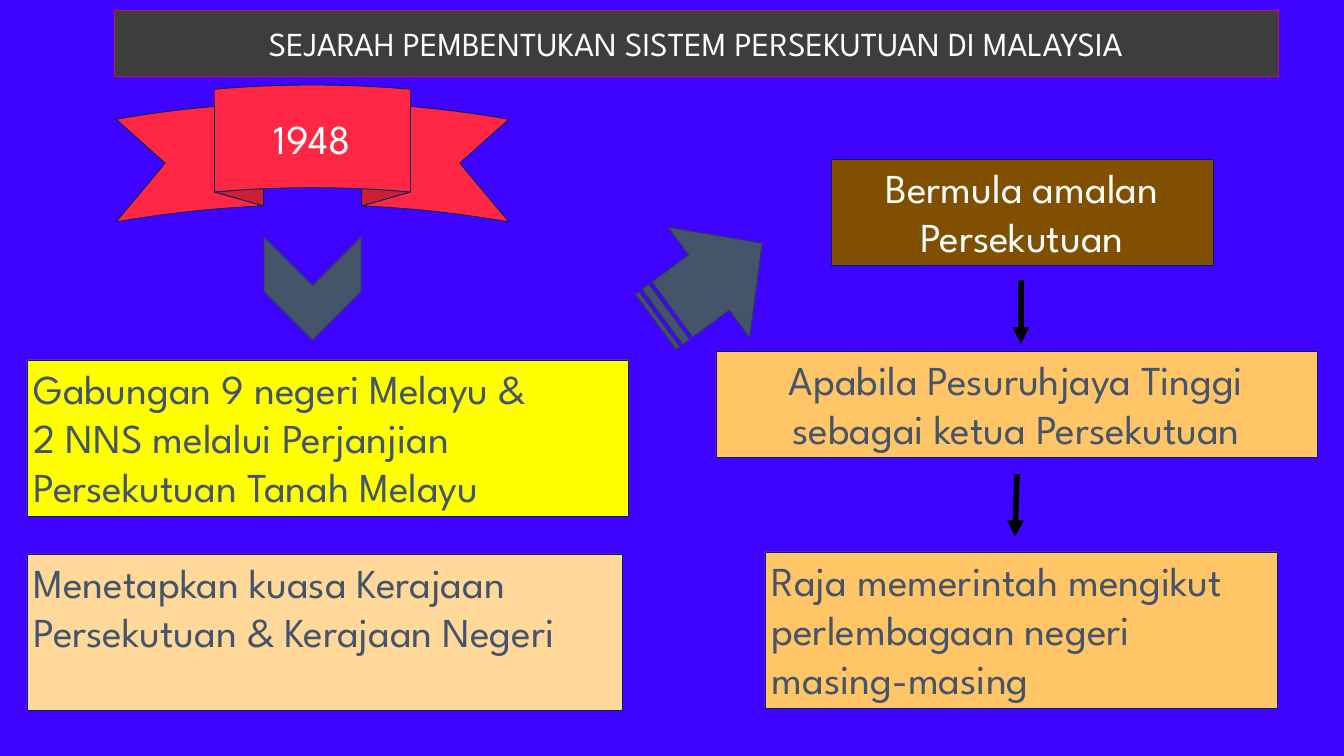
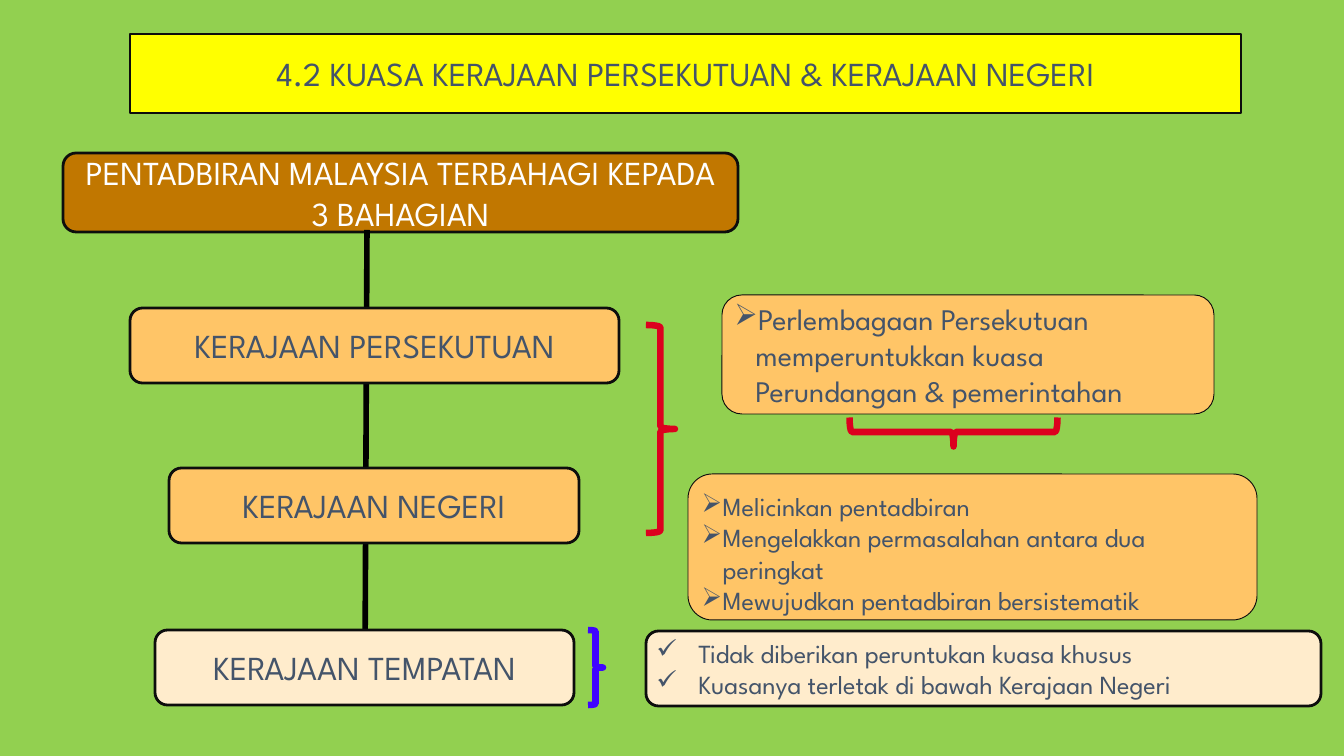
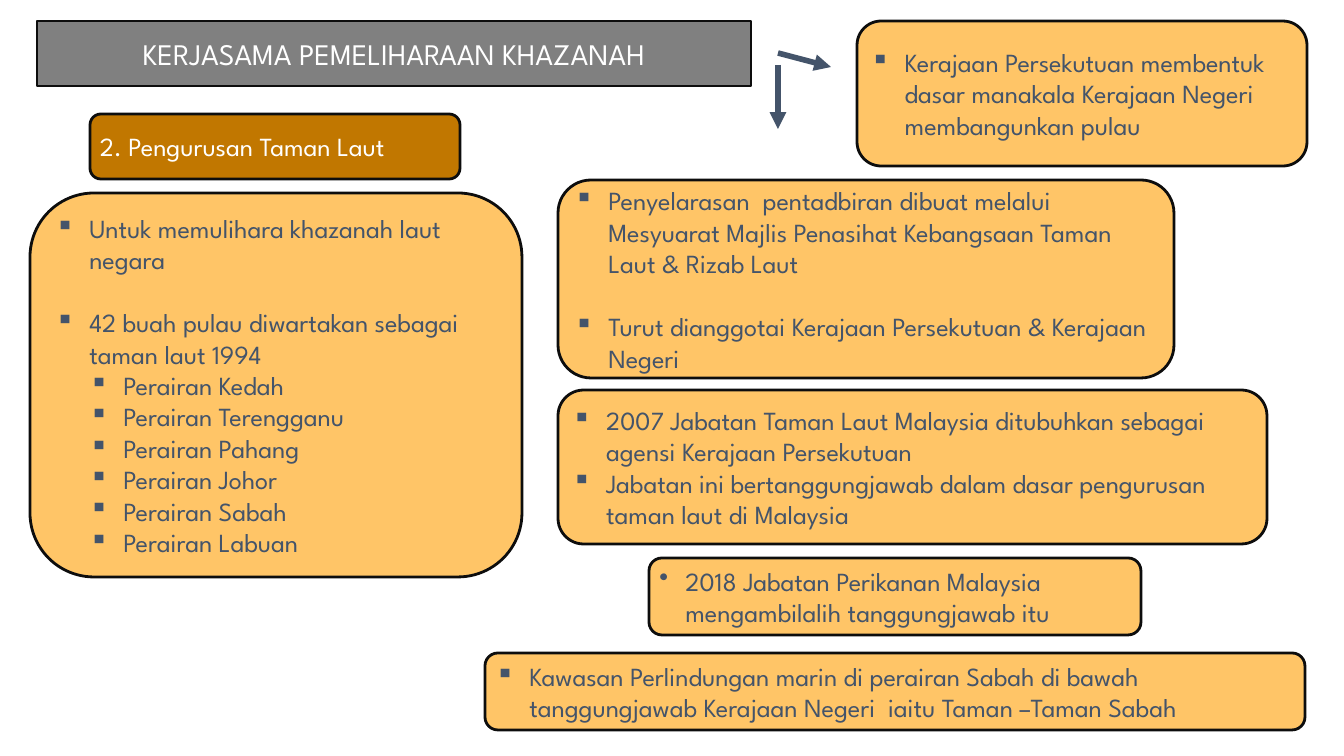
from dataclasses import dataclass

from pptx import Presentation
from pptx import util as u
from pptx.dml.color import RGBColor
from pptx.enum import shapes, text
from pptx.oxml import parse_xml
from pptx.oxml.ns import nsdecls, qn

PX = 914400 / 67.2
KIND = shapes.MSO_SHAPE
MIDDLE, TOP = text.MSO_ANCHOR.MIDDLE, text.MSO_ANCHOR.TOP
LEFT, CENTER = text.PP_ALIGN.LEFT, text.PP_ALIGN.CENTER


@dataclass(frozen=True)
class Theme:
    font: str = "League Spartan"
    blue: str = "3F04FF"
    green: str = "92D050"
    white: str = "FFFFFF"
    black: str = "000000"
    ink: str = "0D0D0D"
    slate: str = "44546A"
    slate_edge: str = "323E4E"
    navy: str = "002060"
    red: str = "DC001E"
    dark_red: str = "BD1D32"
    ribbon: str = "FF2744"
    yellow: str = "FFFF00"
    orange: str = "FFC567"
    peach: str = "FFD89A"
    cream: str = "FFECCC"
    caramel: str = "C17700"
    brown: str = "804F00"
    charcoal: str = "3D3D3D"
    gray: str = "808080"
    display: int = 44
    heading: int = 36
    subheading: int = 32
    body: int = 28
    thick: int = 7
    arrow: int = 6


T = Theme()


@dataclass
class Box:
    rect: tuple
    lines: list
    fill: str = T.orange
    size: int = T.body
    color: str = T.slate
    edge: tuple = (T.ink, 3)
    kind: int = KIND.ROUNDED_RECTANGLE
    align: int = LEFT
    anchor: int = MIDDLE
    rotation: float = 0
    bullet: str = ""
    indent: int = 34
    gap: int = 0    # points between top-level items
    shift: int = 0  # px the text sits below the middle


@dataclass
class Arrow:
    start: tuple
    end: tuple
    color: str = T.black


def label(rect, words, fill=T.orange, **options):
    return Box(rect, [words], fill, **{"size": T.heading, "align": CENTER, **options})


def panel(rect, lines, fill, **options):
    return Box(rect, lines, fill, T.display, edge=(T.navy, 0.75),
               kind=KIND.RECTANGLE, anchor=TOP, **options)


def symbol(kind, rect, rotation):
    return Box(rect, [], T.slate, edge=(T.slate_edge, 1), kind=kind, rotation=rotation)


def brace(rect, color=T.red, rotation=0):
    return Box(rect, [], "", edge=(color, T.thick), kind=KIND.RIGHT_BRACE, rotation=rotation)


HISTORY = {
    "background": T.blue,
    "title": label((114, 10, 1164, 66), "SEJARAH PEMBENTUKAN SISTEM PERSEKUTUAN DI MALAYSIA",
                   T.charcoal, color=T.white, edge=(T.dark_red, 1)),
    "items": [
        Arrow((1021, 280), (1021, 344)),
        label((116, 85, 393, 137), "1948", T.ribbon, size=T.display, color=T.white,
              edge=(T.navy, 1), kind=KIND.CURVED_UP_RIBBON),
        panel((27, 360, 601, 156), ["Gabungan 9 negeri Melayu &", "2 NNS melalui Perjanjian",
                                    "Persekutuan Tanah Melayu"], T.yellow),
        panel((27, 554, 595, 156),
              ["Menetapkan kuasa Kerajaan Persekutuan & Kerajaan Negeri"], T.peach),
        panel((831, 159, 382, 106), ["Bermula amalan Persekutuan"], T.brown,
              color=T.white, align=CENTER),
        panel((765, 552, 512, 156),
              ["Raja memerintah mengikut perlembagaan negeri masing-masing"], T.orange),
        symbol(KIND.CHEVRON, (261, 240, 103, 97), 90),
        panel((716, 351, 601, 106), ["Apabila Pesuruhjaya Tinggi sebagai ketua Persekutuan"],
              T.orange, align=CENTER),
        Arrow((1017, 474), (1015, 537)),
        symbol(KIND.STRIPED_RIGHT_ARROW, (643, 214, 132, 137), 323.6),
    ],
}

POWERS = {
    "background": T.green,
    "title": label((130, 34, 1111, 79), "4.2 KUASA KERAJAAN PERSEKUTUAN & KERAJAAN NEGERI",
                   T.yellow),
    "items": [
        label((63, 153, 675, 79), "PENTADBIRAN MALAYSIA TERBAHAGI KEPADA 3 BAHAGIAN",
              T.caramel, color=T.white),
        Arrow((367, 230), (365, 667)),
        label((130, 308, 489, 75), "KERAJAAN PERSEKUTUAN"),
        label((169, 468, 410, 75), "KERAJAAN NEGERI"),
        label((155, 630, 419, 75), "KERAJAAN TEMPATAN", T.cream),
        brace((646, 325, 29, 208)),
        Box((722, 295, 492, 119),
            ["Perlembagaan Persekutuan memperuntukkan kuasa Perundangan & pemerintahan"],
            size=T.subheading, edge=(T.ink, 1), bullet="➢", indent=21),
        brace((939, 328, 29, 208), rotation=90),
        Box((688, 474, 569, 146),
            ["Melicinkan pentadbiran", "Mengelakkan permasalahan antara dua peringkat",
             "Mewujudkan pentadbiran bersistematik"],
            edge=(T.ink, 1), bullet="➢", indent=21, shift=6),
        brace((588, 630, 15, 75), T.blue),
        Box((646, 631, 675, 75),
            ["Tidak diberikan peruntukan kuasa khusus",
             "Kuasanya terletak di bawah Kerajaan Negeri"],
            T.cream, bullet="✓", indent=42),
    ],
}

HERITAGE = {
    "background": T.white,
    "title": label((37, 21, 714, 65), "KERJASAMA PEMELIHARAAN KHAZANAH", T.gray,
                   size=T.subheading, color=T.white),
    "items": [
        Box((90, 114, 370, 65), ["2. Pengurusan Taman Laut"], T.caramel, color=T.white),
        Box((30, 193, 492, 384),
            ["Untuk memulihara khazanah laut negara",
             "42 buah pulau diwartakan sebagai taman laut 1994",
             ["Perairan Kedah", "Perairan Terengganu", "Perairan Pahang",
              "Perairan Johor", "Perairan Sabah", "Perairan Labuan"]],
            bullet="▪", gap=34),
        Box((857, 21, 450, 145),
            ["Kerajaan Persekutuan membentuk dasar manakala Kerajaan Negeri membangunkan pulau"],
            bullet="▪"),
        Arrow((778, 53), (831, 67), T.slate),
        Box((558, 180, 616, 198),
            ["Penyelarasan  pentadbiran dibuat melalui Mesyuarat Majlis Penasihat "
             "Kebangsaan Taman Laut & Rizab Laut",
             "Turut dianggotai Kerajaan Persekutuan & Kerajaan Negeri"],
            bullet="▪", gap=34),
        Arrow((778, 65), (778, 129), T.slate),
        Box((558, 390, 709, 154),
            ["2007 Jabatan Taman Laut Malaysia ditubuhkan sebagai agensi Kerajaan Persekutuan",
             "Jabatan ini bertanggungjawab dalam dasar pengurusan taman laut di Malaysia"],
            bullet="▪"),
        Box((649, 558, 492, 77),
            ["2018 Jabatan Perikanan Malaysia mengambilalih tanggungjawab itu"],
            bullet="•", indent=26),
        Box((485, 653, 820, 77),
            ["Kawasan Perlindungan marin di perairan Sabah di bawah tanggungjawab "
             "Kerajaan Negeri  iaitu Taman –Taman Sabah"],
            bullet="▪"),
    ],
}


def px(length):
    return u.Emu(round(length * PX))


def rgb(color):
    return RGBColor.from_string(color)


def flatten(lines):
    """Yield (level, words); a nested list is one level deeper."""
    for line in lines:
        if isinstance(line, list):
            yield from ((1, words) for words in line)
        else:
            yield 0, line


def add_bullet(para, mark, indent, level):
    props = para._p.get_or_add_pPr()
    props.set("marL", str(px(indent * (level + 1))))
    props.set("indent", str(px(-indent)))
    props.append(parse_xml(f'<a:buChar {nsdecls("a")} char="{mark}"/>'))


def write(frame, box):
    frame.word_wrap = True
    frame.auto_size = text.MSO_AUTO_SIZE.NONE
    frame.vertical_anchor = box.anchor
    if box.shift:
        frame.margin_top += px(2 * box.shift)
    for number, (level, words) in enumerate(flatten(box.lines)):
        para = frame.add_paragraph() if number else frame.paragraphs[0]
        para.text = words
        para.alignment = box.align
        if level:
            para.level = level
        if box.bullet:
            add_bullet(para, box.bullet, box.indent, level)
        if box.gap and number and not level:
            para.space_before = u.Pt(box.gap)
        for span in para.runs:
            span.font.name = T.font
            span.font.size = u.Pt(box.size)
            span.font.color.rgb = rgb(box.color)


def paint(shape, box):
    if box.fill:
        shape.fill.solid()
        shape.fill.fore_color.rgb = rgb(box.fill)
    else:
        shape.fill.background()
    color, width = box.edge
    shape.line.color.rgb = rgb(color)
    shape.line.width = u.Pt(width)
    if box.lines:
        write(shape.text_frame, box)


def place_title(page, box):
    title = page.shapes.title
    title.left, title.top, title.width, title.height = map(px, box.rect)
    title._element.spPr.find(qn("a:xfrm")).addnext(parse_xml(
        f'<a:prstGeom {nsdecls("a")} prst="roundRect"><a:avLst/></a:prstGeom>'))
    paint(title, box)


def add_box(page, box):
    shape = page.shapes.add_shape(box.kind, *map(px, box.rect))
    shape.shadow.inherit = False
    shape.rotation = box.rotation
    paint(shape, box)


def add_arrow(page, arrow):
    line = page.shapes.add_connector(shapes.MSO_CONNECTOR.STRAIGHT,
                                     *map(px, arrow.start + arrow.end))
    line.line.color.rgb = rgb(arrow.color)
    line.line.width = u.Pt(T.arrow)
    line.line._get_or_add_ln().append(
        parse_xml(f'<a:tailEnd {nsdecls("a")} type="triangle"/>'))
    line._element.spPr.append(parse_xml(f'<a:effectLst {nsdecls("a")}/>'))


def main():
    deck = Presentation()
    deck.slide_width, deck.slide_height = px(1344), px(756)
    for content in (HISTORY, POWERS, HERITAGE):
        page = deck.slides.add_slide(deck.slide_layouts[5])
        page.background.fill.solid()
        page.background.fill.fore_color.rgb = rgb(content["background"])
        place_title(page, content["title"])
        for item in content["items"]:
            add = add_arrow if isinstance(item, Arrow) else add_box
            add(page, item)
    deck.save("out.pptx")


if __name__ == "__main__":
    main()
